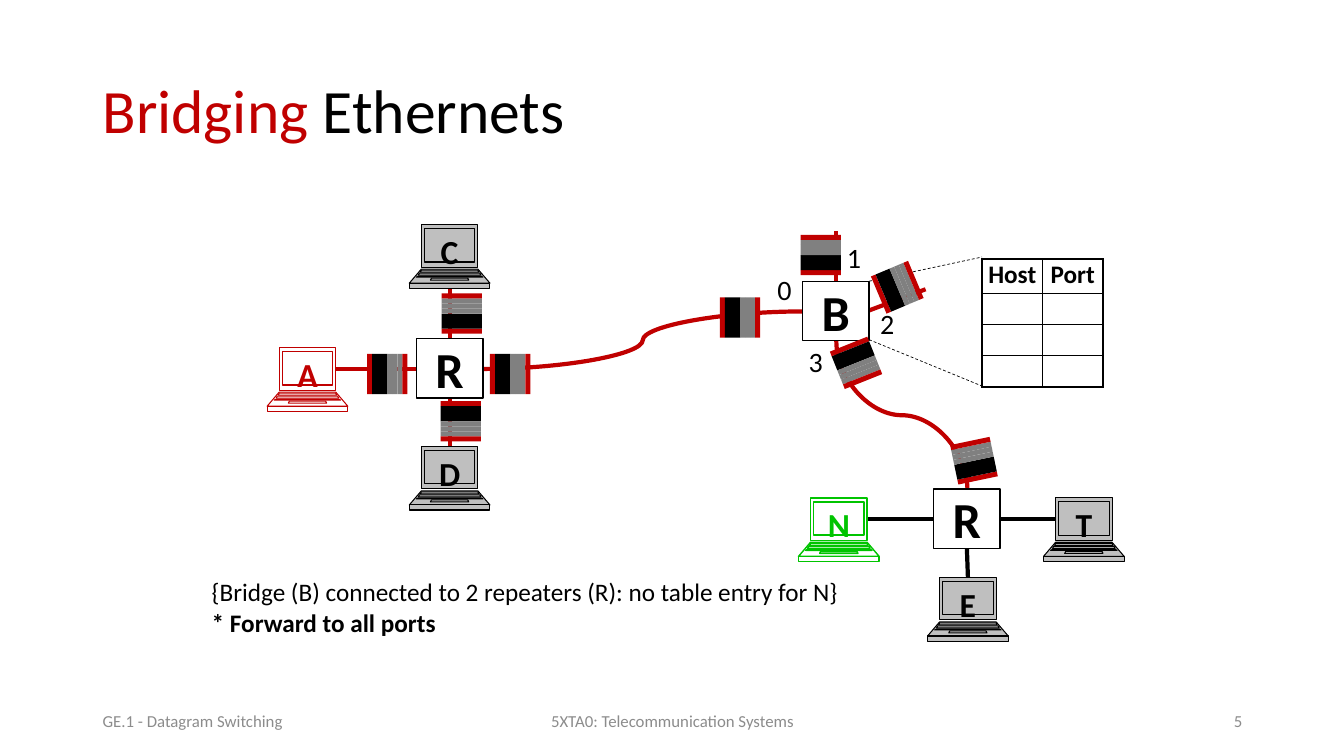
from copy import deepcopy
from pptx import Presentation
from pptx.dml.color import RGBColor
from pptx.enum.dml import MSO_LINE
from pptx.enum.shapes import MSO_CONNECTOR, MSO_SHAPE
from pptx.enum.text import MSO_ANCHOR, PP_ALIGN
from pptx.oxml.ns import qn
from pptx.oxml.xmlchemy import OxmlElement
from pptx.util import Inches, Pt

RED, BLACK, GRAY, WHITE = "C00000", "000000", "808080", "FFFFFF"
SILVER, GREEN, MUTED = "BFBFBF", "00C400", "8C8C8C"
TIGHT = {"margin_left": 0, "margin_right": 0, "margin_top": 0, "margin_bottom": 0}
LAPTOP_BANDS = [
    (0, .28, .42, .28), (.44, .28, .58, .4), (.58, .4, .63, .4), (.04, .25, .37, .25),
    (.45, .28, .47, .29), (.53, .18, .55, .19), (.48, .3, .5, .31), (.51, .31, .52, .33),
]
PACKET_BARS = [(0, .05, RED), (.05, .15, BLACK), (.2, .05, GRAY),
               (.25, .05, GRAY), (.3, .05, GRAY), (.35, .05, RED)]


def color(value):
    return RGBColor.from_string(value)


def apply(target, values):
    for name, value in values.items():
        setattr(target, name, value)


def style(shape, fill=None, line=None, width=1):
    shape.shadow.inherit = False
    if fill:
        shape.fill.solid()
        shape.fill.fore_color.rgb = color(fill)
    else:
        shape.fill.background()
    if line:
        shape.line.color.rgb = color(line)
        shape.line.width = Pt(width)
    else:
        shape.line.fill.background()


def write(frame, lines, size, align=PP_ALIGN.LEFT, spacing=None):
    for index, runs in enumerate(lines):
        paragraph = frame.paragraphs[0] if index == 0 else frame.add_paragraph()
        apply(paragraph, {"alignment": align, "line_spacing": spacing})
        for words, ink, bold in runs:
            run = paragraph.add_run()
            run.text = words
            apply(run.font, {"name": "Calibri", "size": Pt(size), "bold": bold})
            run.font.color.rgb = color(ink)


def add_text(slide, box, lines, size, align=PP_ALIGN.LEFT, spacing=None, **frame_values):
    frame = slide.shapes.add_textbox(*map(Inches, box)).text_frame
    apply(frame, {"word_wrap": True, "vertical_anchor": MSO_ANCHOR.MIDDLE, **frame_values})
    write(frame, lines, size, align, spacing)


def add_label(slide, box, lines, size):
    add_text(slide, box, lines, size, **TIGHT, word_wrap=False, vertical_anchor=MSO_ANCHOR.TOP)


def add_wire(slide, ends, ink=RED, width=3, kind=MSO_CONNECTOR.STRAIGHT):
    wire = slide.shapes.add_connector(kind, *map(Inches, ends))
    wire.line.color.rgb = color(ink)
    wire.line.width = Pt(width)
    wire._element.spPr.append(OxmlElement("a:effectLst"))
    return wire


def add_node(slide, left, top, letter):
    node = slide.shapes.add_shape(MSO_SHAPE.RECTANGLE, *map(Inches, (left, top, .66, .59)))
    style(node, WHITE, BLACK)
    apply(node.text_frame, {**TIGHT, "vertical_anchor": MSO_ANCHOR.MIDDLE})
    write(node.text_frame, [[(letter, BLACK, True)]], 36, PP_ALIGN.CENTER)


def add_laptop(slide, left, top, letter, fill=SILVER, ink=BLACK, width=.75):
    middle = left + .4
    builder = None
    for upper, upper_half, lower, lower_half in LAPTOP_BANDS:
        corners = [(Inches(middle + dx), Inches(top + dy)) for dx, dy in (
            (-upper_half, upper), (upper_half, upper), (lower_half, lower), (-lower_half, lower))]
        if builder is None:
            builder = slide.shapes.build_freeform(*corners[0])
        else:
            builder.move_to(*corners[0])
        builder.add_line_segments(corners[1:], close=True)
    laptop = builder.convert_to_shape()
    outline = laptop._element.find(".//" + qn("a:path"))
    steps = list(outline)
    for step in steps:
        outline.remove(step)
    for step in steps:
        if step.tag == qn("a:moveTo"):
            band = deepcopy(outline)
            outline.getparent().append(band)
        band.append(step)
    outline.getparent().remove(outline)
    style(laptop, fill, ink, width)
    apply(laptop.text_frame, {**TIGHT, "margin_top": Inches(.06),
                              "vertical_anchor": MSO_ANCHOR.TOP})
    write(laptop.text_frame, [[(letter, ink, True)]], 24, PP_ALIGN.CENTER)


def add_packet(slide, center_x, center_y, angle=0):
    packet = slide.shapes.add_group_shape()
    for offset, width, fill in PACKET_BARS:
        bar = packet.shapes.add_shape(MSO_SHAPE.RECTANGLE, *map(
            Inches, (center_x - .2 + offset, center_y - .2, width, .4)))
        style(bar, fill)
    packet.rotation = angle


def add_segment(slide, box, node, wires, packets, laptops=(), ports=(), ink=RED):
    left, top = box
    for x1, y1, x2, y2 in wires:
        add_wire(slide, (left + x1, top + y1, left + x2, top + y2), ink)
    add_node(slide, left + node[0], top + node[1], node[2])
    for x, y, *look in laptops:
        add_laptop(slide, left + x, top + y, *look)
    for x, y, number in ports:
        add_label(slide, (left + x, top + y, .14, .34), [[(number, BLACK, False)]], 20)
    for x, y, angle in packets:
        add_packet(slide, left + x, top + y, angle)


def add_trunks(slide):
    add_wire(slide, (7.96, 3.09, 4.79, 3.66), kind=MSO_CONNECTOR.CURVE)
    downlink = add_wire(slide, (8.21, 4.77, 9.68, 3.47), kind=MSO_CONNECTOR.CURVE)
    downlink.rotation = 270


def add_forwarding_table(slide, box):
    left, top = box
    for start, end in (((8.62, 3.37), (left, top + 1.26)), ((8.62, 2.79), (left, top - .02))):
        add_wire(slide, (*start, *end), BLACK, .5).line.dash_style = MSO_LINE.DASH
    table = slide.shapes.add_table(4, 2, *map(Inches, (left, top, 1.2, 1.27))).table
    apply(table, {"first_row": False, "horz_banding": False})
    for column in table.columns:
        column.width = Inches(.6)
    for index, row in enumerate(table.rows):
        row.height = Inches(.31 if index else .34)
    for cell, heading in zip(table.iter_cells(), ["Host", "Port"] + [""] * 6):
        apply(cell, {**TIGHT, "margin_left": Inches(.04), "margin_right": Inches(.04)})
        if heading:
            write(cell.text_frame, [[(heading, BLACK, True)]], 18, PP_ALIGN.CENTER)
        else:
            ending = OxmlElement("a:endParaRPr")
            ending.set("sz", "1400")
            cell.text_frame.paragraphs[0]._p.append(ending)
        properties = cell._tc.get_or_add_tcPr()
        for side in ("lnL", "lnR", "lnT", "lnB"):
            border = OxmlElement("a:" + side)
            border.set("w", str(Pt(1)))
            solid = OxmlElement("a:solidFill")
            ink = OxmlElement("a:srgbClr")
            ink.set("val", BLACK)
            solid.append(ink)
            border.append(solid)
            properties.append(border)
        cell.fill.background()


def add_footer(slide, top):
    for left, width, words, align in (
            (.92, 3, "GE.1 - Datagram Switching", PP_ALIGN.LEFT),
            (4.42, 4.5, "5XTA0: Telecommunication Systems", PP_ALIGN.CENTER),
            (9.42, 3, "5", PP_ALIGN.RIGHT)):
        add_text(slide, (left, top, width, .4), [[(words, MUTED, False)]], 12, align)


def main():
    deck = Presentation()
    apply(deck, {"slide_width": Inches(13.33), "slide_height": Inches(7.5)})
    slide = deck.slides.add_slide(deck.slide_layouts[6])
    add_text(slide, (.92, .4, 11.5, 1.45),
             [[("Bridging", RED, False), (" Ethernets", BLACK, False)]], 44, spacing=.9)
    add_trunks(slide)
    add_segment(
        slide, (2.65, 2.23), (1.48, 1.13, "R"),
        wires=[(1.81, .63, 1.81, 1.13), (.68, 1.43, 1.48, 1.43), (1.81, 1.73, 1.81, 2.2)],
        packets=[(1.19, 1.48, 0), (2.41, 1.48, 0), (1.93, .88, 270), (1.92, 1.95, 90)],
        laptops=[(0, 1.22, "A", None, RED), (1.41, 0, "C"), (1.41, 2.2, "D")])
    add_segment(
        slide, (7.92, 4.85), (1.34, 0, "R"),
        wires=[(.68, .3, 1.34, .3), (1.68, .88, 1.67, .59), (2.56, .3, 2, .3)],
        packets=[(1.74, -.28, 258.2)], ink=BLACK,
        laptops=[(0, .09, "N", WHITE, GREEN, 1), (2.43, .09, "T"), (1.28, .88, "E")])
    add_forwarding_table(slide, (9.74, 2.57))
    add_segment(
        slide, (7.14, 2.29), (.82, .5, "B"),
        wires=[(1.15, 0, 1.15, .5), (2.04, .58, 1.48, .79)],
        packets=[(.2, .86, 0), (1.76, .56, 337.2), (1, .24, 270), (1.35, 1.31, 68.2)],
        ports=[(.57, .41, "0"), (1.26, .1, "1"), (1.59, .75, "2"), (.88, 1.13, "3")])
    add_label(slide, (2.1, 5.72, 6.29, .61), [
        [("{Bridge (B) connected to 2 repeaters (R): no table entry for N}", BLACK, False)],
        [("* Forward to all ports", BLACK, True)]], 18)
    add_footer(slide, 6.95)
    deck.save("out.pptx")


if __name__ == "__main__":
    main()
